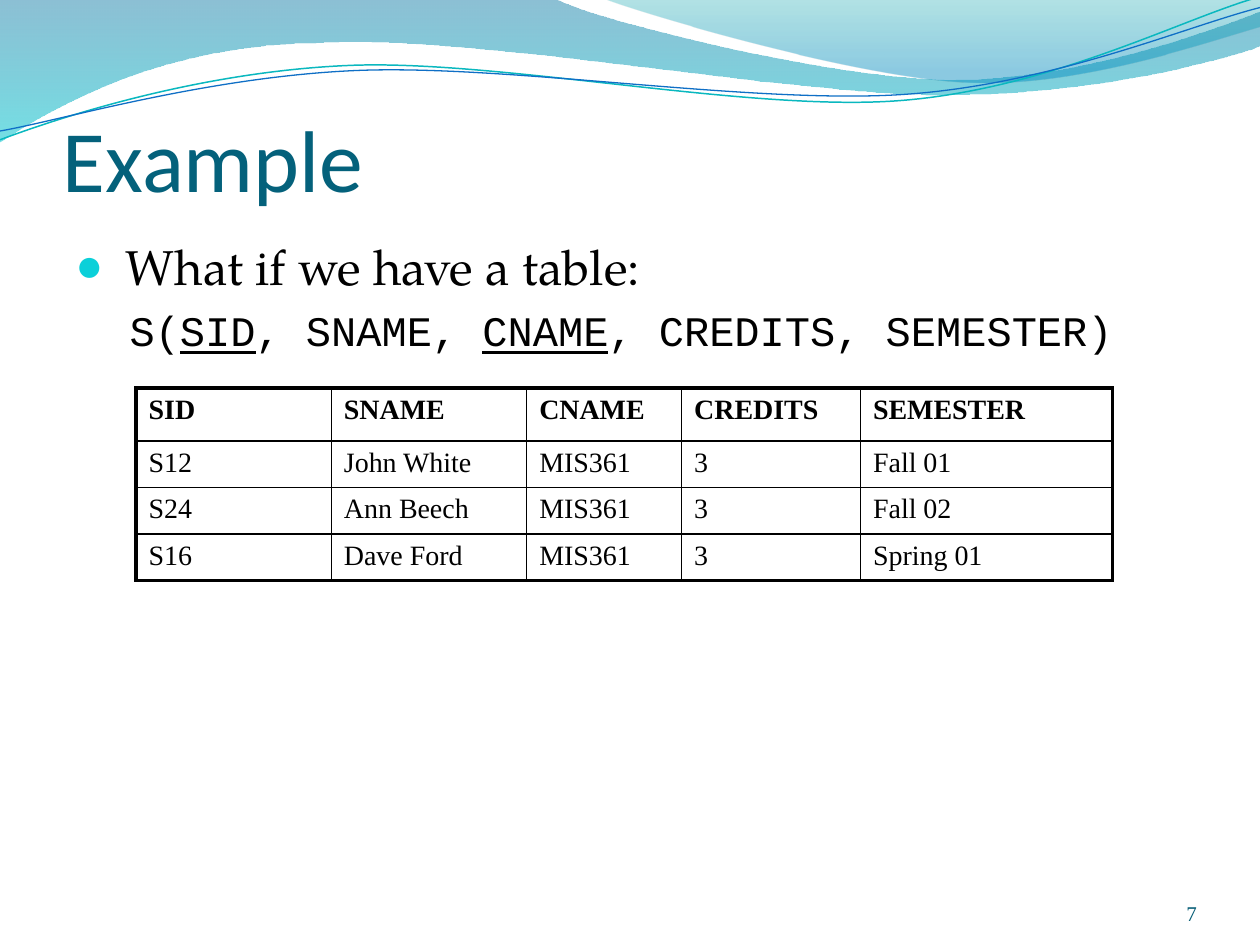
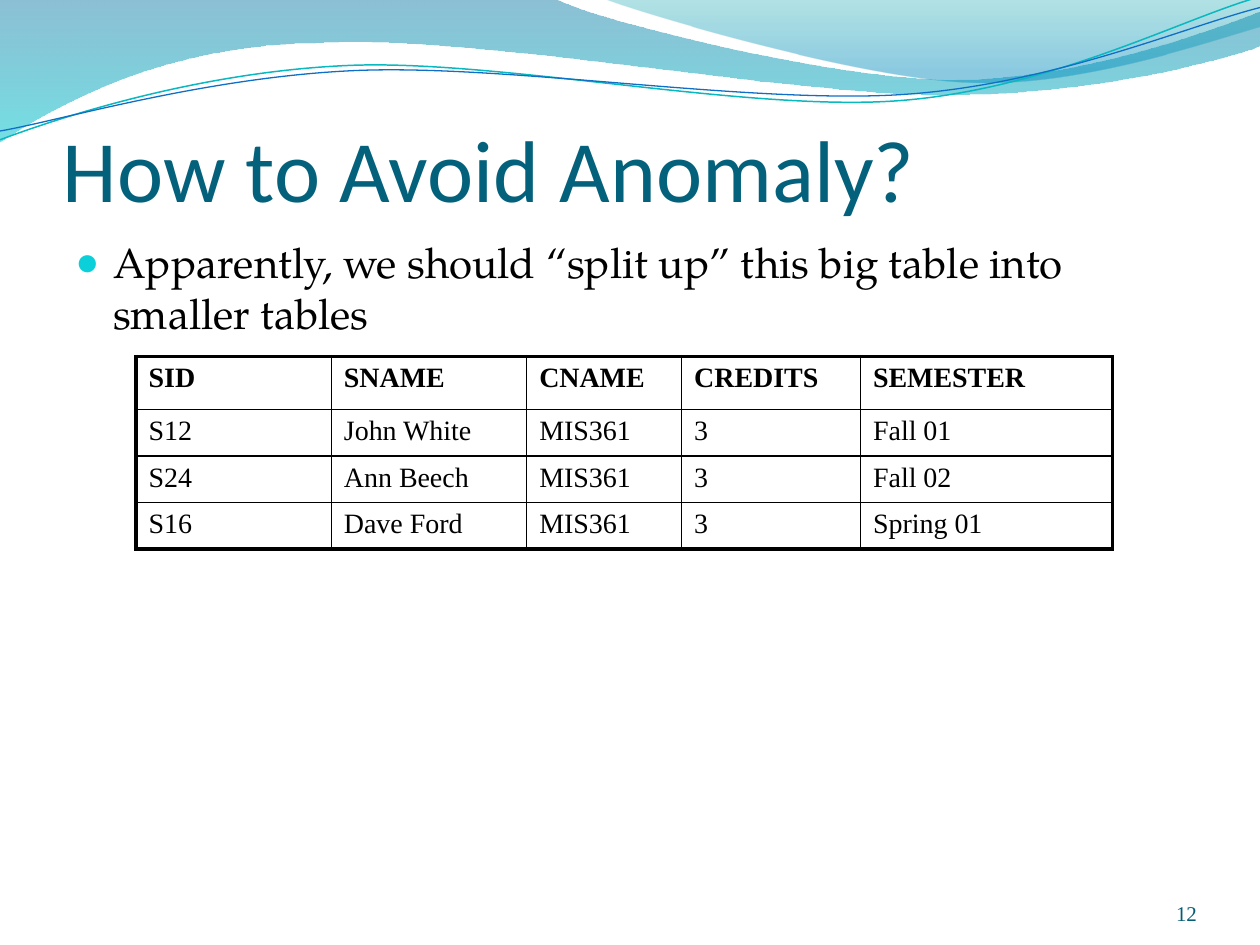
import pptx
import pptx.dml.color
import pptx.enum.text
import pptx.oxml
import pptx.oxml.ns
import pptx.util
from pptx.util import Inches

COLORS = {
    "title": "04617B", "number": "045C75", "text": "000000", "bullet": "0BD0D9",
    "band_top": "0074A1", "band_bottom": "00C6CF",
    "crest_top": "00A1A9", "crest_bottom": "008BBF",
    "teal_line": "0AB8BF", "blue_line": "0F6FC6",
}
TITLE_FONT, BODY_FONT = "Calibri", "TeX Gyre Pagella"
CODE_FONT, TABLE_FONT = "Courier New", "Times New Roman"
ANCHOR = pptx.enum.text.MSO_ANCHOR
ALIGN = pptx.enum.text.PP_ALIGN

# Each outline is a start point followed by line ends (2 numbers) or curves (6 numbers).
BAND = [(0, -0.01), (4.4, -0.01), (4.76, 0.17, 6.64, 0.63, 7.58, 0.63),
        (8.53, 0.63, 9.58, 0.26, 10, 0.09), (10.01, 0.36),
        (9.83, 0.44, 8.7, 0.76, 7.46, 0.75), (6.22, 0.75, 3.82, 0.28, 2.57, 0.34),
        (1.29, 0.35, 0.46, 0.83, -0.01, 1.13)]
CREST = [(4.79, -0.01), (5.09, 0.11, 6.82, 0.62, 7.69, 0.65),
         (8.56, 0.69, 9.61, 0.32, 10, 0.21), (10, 0)]
TEAL_LINE = [(0, 1.11), (0.48, 0.93, 1.58, 0.57, 2.77, 0.52),
             (3.95, 0.47, 5.93, 0.89, 7.13, 0.8), (8.33, 0.71, 9.38, 0.15, 9.98, -0.02)]
BLUE_LINE = [(0, 1.04), (0.47, 0.96, 1.64, 0.61, 2.83, 0.56),
             (4.03, 0.51, 5.97, 0.83, 7.17, 0.75), (8.36, 0.67, 9.41, 0.21, 10, 0.06)]

ENROLMENTS = [
    ("SID", "SNAME", "CNAME", "CREDITS", "SEMESTER"),
    ("S12", "John White", "MIS361", "3", "Fall 01"),
    ("S24", "Ann Beech", "MIS361", "3", "Fall 02"),
    ("S16", "Dave Ford", "MIS361", "3", "Spring 01"),
]
COLUMN_WIDTHS = [1.55, 1.55, 1.23, 1.42, 2]
ROW_HEIGHTS = [0.42, 0.37, 0.37, 0.37]


def rgb(name):
    return pptx.dml.color.RGBColor.from_string(COLORS[name])


def append_xml(parent, xml):
    parent.append(pptx.oxml.parse_xml(xml.replace(" ", f" {pptx.oxml.ns.nsdecls('a')} ", 1)))


def add_span(para, text, *, size, font, color="text", bold=False, underline=False):
    span = para.add_run()
    span.text = text
    span.font.size = pptx.util.Pt(size)
    span.font.name = font
    span.font.color.rgb = rgb(color)
    span.font.bold = bold
    span.font.underline = underline


def add_text_box(page, box, anchor=ANCHOR.TOP, insets=(0.1, 0.05, 0.1, 0.05)):
    frame = page.shapes.add_textbox(*map(Inches, box)).text_frame
    frame.word_wrap = True
    frame.vertical_anchor = anchor
    (frame.margin_left, frame.margin_top,
     frame.margin_right, frame.margin_bottom) = map(Inches, insets)
    return frame


def set_indent(para, margin, first_line):
    props = para._p.get_or_add_pPr()
    props.set("marL", str(Inches(margin)))
    props.set("indent", str(Inches(first_line)))
    return props


def set_bullet(para, margin):
    props = set_indent(para, margin, -margin)
    append_xml(props, f'<a:buClr ><a:srgbClr val="{COLORS["bullet"]}"/></a:buClr>')
    append_xml(props, '<a:buSzPct val="95000"/>')
    append_xml(props, f'<a:buFont typeface="{TABLE_FONT}"/>')
    append_xml(props, '<a:buChar char="●"/>')


def bend_segments(shape, steps):
    """Join the three line segments of each six-number step into one cubic curve."""
    segments = iter(list(shape.element.iter(pptx.oxml.ns.qn("a:lnTo"))))
    for step in steps:
        group = [next(segments) for _ in range(len(step) // 2)]
        if len(group) == 3:
            curve = pptx.oxml.parse_xml(f'<a:cubicBezTo {pptx.oxml.ns.nsdecls("a")}/>')
            group[0].addprevious(curve)
            for segment in group:
                curve.append(segment[0])
                segment.getparent().remove(segment)


def add_outline(page, outline, close):
    start, *steps = outline
    points = [(Inches(x), Inches(y)) for step in steps for x, y in zip(step[::2], step[1::2])]
    builder = page.shapes.build_freeform(*map(Inches, start))
    builder.add_line_segments(points, close=close)
    shape = builder.convert_to_shape()
    bend_segments(shape, steps)
    shape.shadow.inherit = False
    return shape


def add_wave(page, outline, stops):
    """Fill an outline from top to bottom; stops hold position, colour, opacity."""
    shape = add_outline(page, outline, close=True)
    shape.line.fill.background()
    shape.fill.gradient()
    shape.fill.gradient_angle = 270
    for stop, (position, color, _) in zip(shape.fill.gradient_stops, stops):
        stop.position = position
        stop.color.rgb = rgb(color)
    tints = shape.element.spPr.iter(pptx.oxml.ns.qn("a:srgbClr"))
    for tint, (_, _, opacity) in zip(tints, stops):
        append_xml(tint, f'<a:alpha val="{opacity * 1000}"/>')


def add_wave_line(page, outline, color, width):
    shape = add_outline(page, outline, close=False)
    shape.fill.background()
    shape.line.color.rgb = rgb(color)
    shape.line.width = pptx.util.Pt(width)


def add_header_waves(page):
    add_wave(page, BAND, [(0, "band_top", 45), (1, "band_bottom", 55)])
    add_wave(page, CREST, [(0, "crest_top", 30), (0.8, "crest_bottom", 45)])
    add_wave_line(page, TEAL_LINE, "teal_line", 0.85)
    add_wave_line(page, BLUE_LINE, "blue_line", 0.75)


def add_title(page, text, box):
    frame = add_text_box(page, box, ANCHOR.BOTTOM, (0, 0.05, 0, 0))
    add_span(frame.paragraphs[0], text, size=50, font=TITLE_FONT, color="title")


def add_page_number(page, number):
    frame = add_text_box(page, (8.67, 6.95, 0.83, 0.4), ANCHOR.BOTTOM, (0, 0, 0, 0))
    para = frame.paragraphs[0]
    para.alignment = ALIGN.RIGHT
    add_span(para, str(number), size=12, font=TABLE_FONT, color="number")


def set_borders(cell, widths):
    """Draw the left, right, top and bottom borders with the given point widths."""
    props = cell._tc.get_or_add_tcPr()
    for side, width in zip("LRTB", widths):
        append_xml(props, f'<a:ln{side} w="{pptx.util.Pt(width)}"><a:solidFill>'
                          f'<a:srgbClr val="{COLORS["text"]}"/></a:solidFill></a:ln{side}>')


def add_enrolment_table(page, left, top):
    last_row, last_column = len(ROW_HEIGHTS) - 1, len(COLUMN_WIDTHS) - 1
    box = (left, top, sum(COLUMN_WIDTHS), sum(ROW_HEIGHTS))
    table = page.shapes.add_table(last_row + 1, last_column + 1, *map(Inches, box)).table
    table.first_row = table.horz_banding = False
    for column, width in zip(table.columns, COLUMN_WIDTHS):
        column.width = Inches(width)
    for row, height in zip(table.rows, ROW_HEIGHTS):
        row.height = Inches(height)
    for r, record in enumerate(ENROLMENTS):
        for c, text in enumerate(record):
            cell = table.cell(r, c)
            edges = (c == 0, c == last_column, r == 0, r == last_row)
            set_borders(cell, [2.25 if outer else 1 for outer in edges])
            cell.fill.background()
            add_span(cell.text_frame.paragraphs[0], text, size=16, font=TABLE_FONT,
                     bold=r == 0)


def add_page(deck, title, title_height):
    page = deck.slides.add_slide(deck.slide_layouts[6])
    add_header_waves(page)
    add_title(page, title, (0.5, 0.94, 9, title_height))
    return page


def add_example_page(deck):
    page = add_page(deck, "Example", 0.73)
    frame = add_text_box(page, (0.5, 1.83, 9.25, 1.5))
    question = frame.paragraphs[0]
    set_bullet(question, 0.4)
    add_span(question, "What if we have a table:", size=28, font=BODY_FONT)
    schema = frame.add_paragraph()
    set_indent(schema, 0.7, -0.27)
    schema.space_before = pptx.util.Pt(5)
    for text, is_key in [("S(", False), ("SID", True), (", SNAME, ", False),
                         ("CNAME", True), (", CREDITS, SEMESTER)", False)]:
        add_span(schema, text, size=24, font=CODE_FONT, underline=is_key)
    add_page_number(page, 7)
    add_enrolment_table(page, 1.08, 3.08)


def add_anomaly_page(deck):
    page = add_page(deck, "How to Avoid Anomaly?", 0.81)
    para = add_text_box(page, (0.5, 1.83, 9.08, 0.92)).paragraphs[0]
    set_bullet(para, 0.3)
    add_span(para, "Apparently, we should “split up” this big table into smaller tables",
             size=24, font=BODY_FONT)
    add_page_number(page, 12)
    add_enrolment_table(page, 1.08, 2.83)


def main():
    deck = pptx.Presentation()
    deck.slide_width, deck.slide_height = Inches(10), Inches(7.5)
    add_example_page(deck)
    add_anomaly_page(deck)
    deck.save("out.pptx")


if __name__ == "__main__":
    main()
